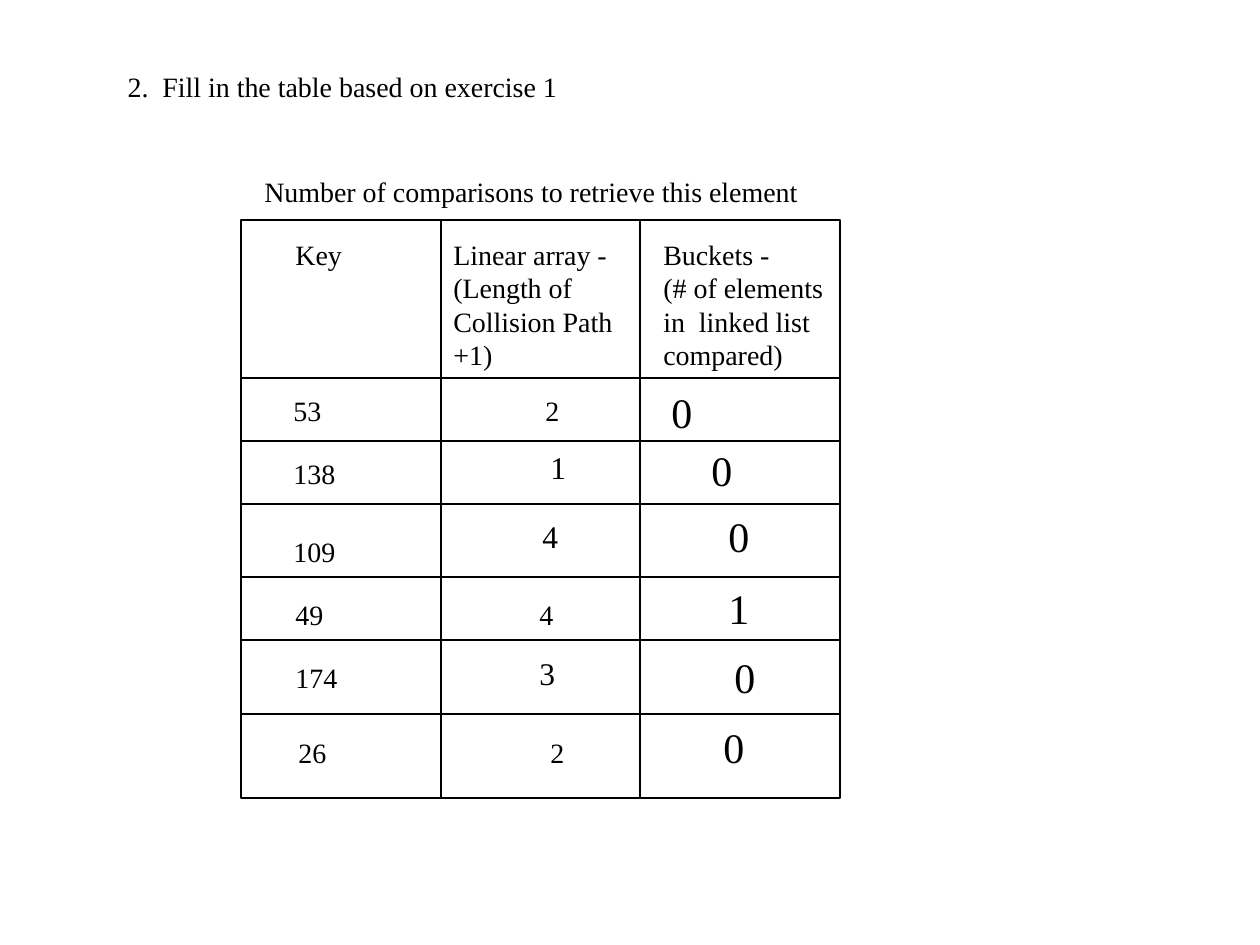
from lxml.etree import SubElement
from pptx import Presentation
from pptx.dml.color import RGBColor
from pptx.enum.shapes import MSO_CONNECTOR as Connector, MSO_SHAPE as Shape
from pptx.enum.text import MSO_ANCHOR as Anchor, MSO_AUTO_SIZE as AutoSize, PP_ALIGN as Align
from pptx.oxml.ns import qn
from pptx.util import Emu, Pt

BLACK = RGBColor(0, 0, 0)
FONT = "Times New Roman"
PX_PER_INCH = 126
LEFT, TOP, RIGHT, BOTTOM = 241, 220, 840, 798
COLUMN_LINES = [(441, BOTTOM), (640, BOTTOM), (RIGHT, 714)]
ROW_LINES = [378, 441, 504, 577, 640, 714]
TITLE = ("2.  Fill in the table based on exercise 1", 115, 63, 457)
CAPTION = ("Number of comparisons to retrieve this element", 252, 168, 567)
HEADERS = [
    ("Key", 283, 231, 72),
    ("Linear array -\n(Length of\nCollision Path +1)", 441, 231, 220),
    ("Buckets -\n(# of elements\nin  linked list\ncompared)", 651, 231, 190),
]
KEYS = [
    ("53\t2", 281, 387, 294, 252),
    ("138", 281, 450, 68),
    ("109", 281, 528, 68),
    ("49\t4", 283, 591, 287, 244),
    ("174", 283, 654, 68),
    ("26\t2", 286, 729, 294, 252),
]
ARRAY_COUNTS = [("1", 538, 442), ("4", 530, 511), ("3", 527, 648)]
BUCKET_COUNTS = [("0", 659, 380), ("0", 699, 438), ("0", 716, 504),
                 ("1", 716, 576), ("0", 722, 645), ("0", 711, 715)]


def px(length):
    """Turn pixels into EMU."""
    return Emu(round(length * 914400 / PX_PER_INCH))


def set_tab(paragraph, position):
    """Give a paragraph one left tab stop."""
    stops = SubElement(paragraph._p.get_or_add_pPr(), qn("a:tabLst"))
    SubElement(stops, qn("a:tab"), pos=str(px(position)), algn="l")


def write(shape, text, size=16, wrap=False, tab=None):
    """Write left-aligned black text, one paragraph a line."""
    frame = shape.text_frame
    frame.text = text
    frame.word_wrap = wrap
    frame.auto_size = AutoSize.NONE
    frame.vertical_anchor = Anchor.TOP
    for paragraph in frame.paragraphs:
        paragraph.alignment = Align.LEFT
        if tab:
            set_tab(paragraph, tab)
        paragraph.font.name = FONT
        paragraph.font.size = Pt(size)
        paragraph.font.color.rgb = BLACK


def add_text(slide, text, left, top, width, tab=None, size=16, wrap=False):
    """Add a text box as tall as its lines."""
    height = 13 + round(size * 2.1) * (text.count("\n") + 1)
    box = slide.shapes.add_textbox(px(left), px(top), px(width), px(height))
    write(box, text, size, wrap, tab)


def add_title(slide, text, left, top, width):
    """Move the title placeholder and fill it."""
    title = slide.shapes.title
    title.left, title.top, title.width, title.height = map(px, (left, top, width, 47))
    write(title, text)


def style_line(line):
    """Make a line thin and black."""
    line.color.rgb = BLACK
    line.width = Pt(0.75)


def add_line(slide, *ends):
    """Add a straight line without shadow."""
    connector = slide.shapes.add_connector(Connector.STRAIGHT, *map(px, ends))
    style_line(connector.line)
    SubElement(connector._element.spPr, qn("a:effectLst"))


def add_grid(slide):
    """Add the frame with its column and row lines."""
    frame = slide.shapes.add_shape(
        Shape.RECTANGLE, px(LEFT), px(TOP), px(RIGHT - LEFT), px(BOTTOM - TOP))
    frame.shadow.inherit = False
    frame.fill.background()
    style_line(frame.line)
    for x, bottom in COLUMN_LINES:
        add_line(slide, x, TOP, x, bottom)
    for y in ROW_LINES:
        add_line(slide, LEFT, y, RIGHT, y)


def main():
    """Build and save the exercise slide."""
    presentation = Presentation()
    presentation.slide_width, presentation.slide_height = px(1260), px(945)
    slide = presentation.slides.add_slide(presentation.slide_layouts[5])
    add_title(slide, *TITLE)
    add_grid(slide)
    add_text(slide, *CAPTION)
    for header in HEADERS:
        add_text(slide, *header, wrap="Collision" in header[0])
    for key in KEYS:
        add_text(slide, *key)
    for count in ARRAY_COUNTS:
        add_text(slide, *count, 43, size=18, wrap=True)
    for count in BUCKET_COUNTS:
        add_text(slide, *count, 47, size=24)
    presentation.save("out.pptx")


if __name__ == "__main__":
    main()
